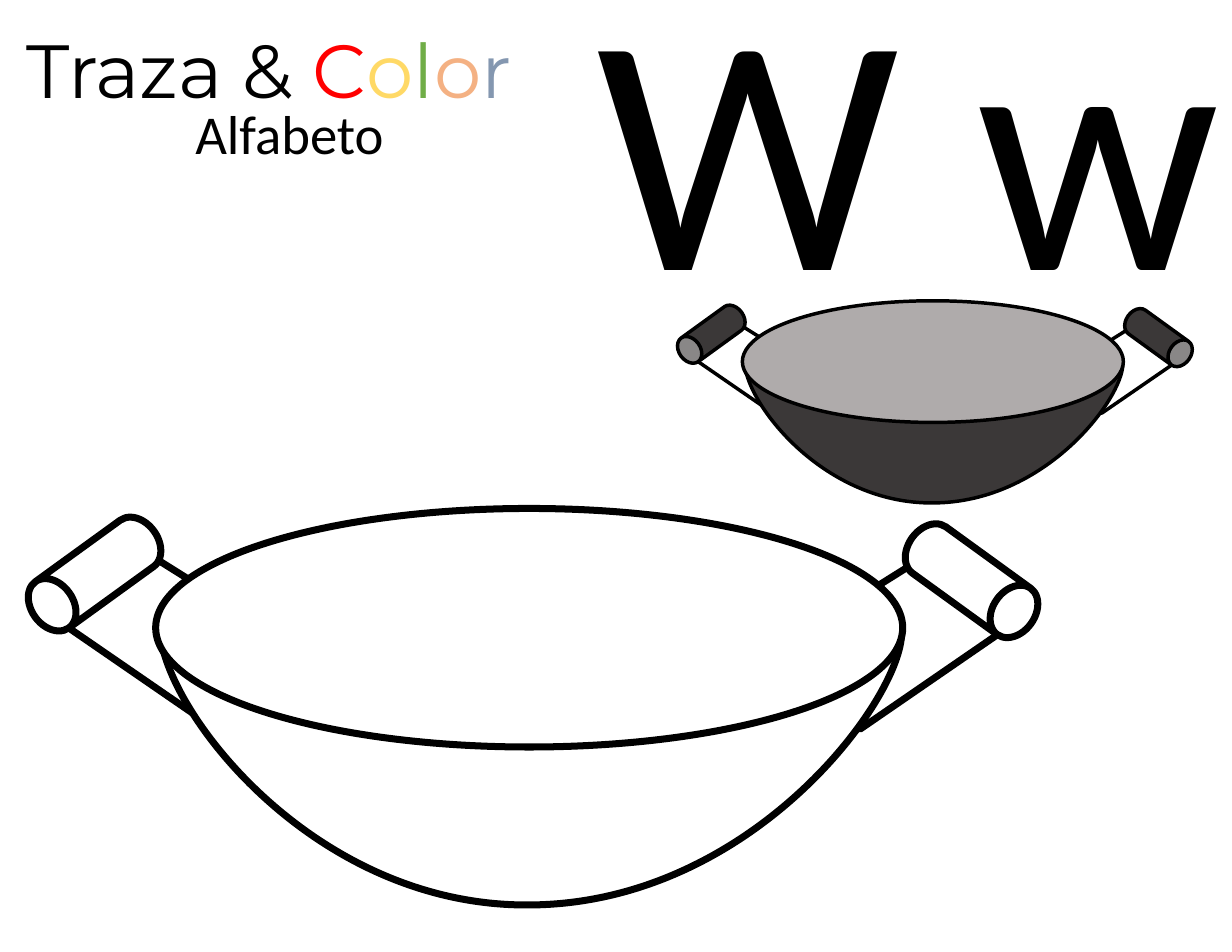
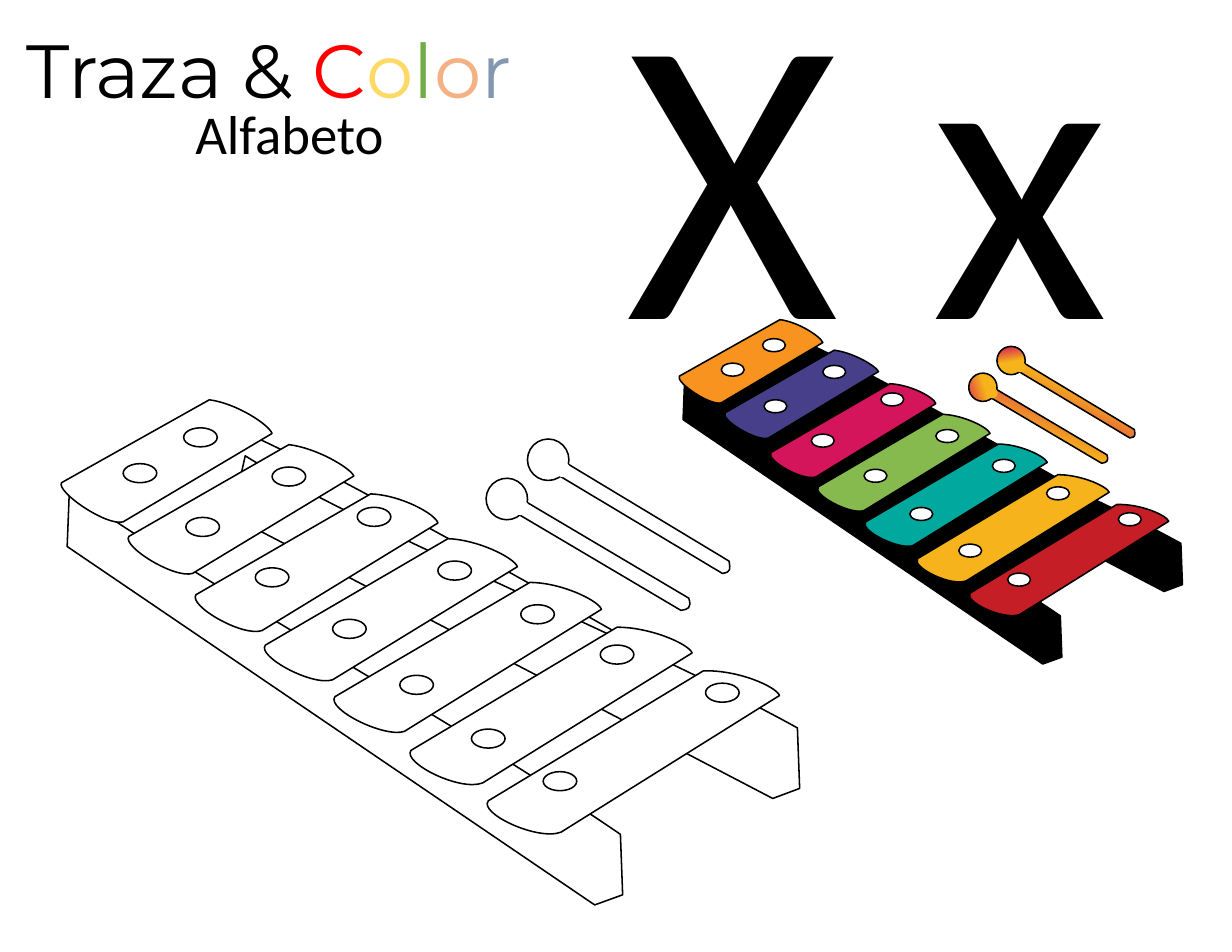
import math

from lxml import etree
from pptx import Presentation
from pptx import util as u
from pptx.dml.color import RGBColor
from pptx.enum import shapes, text
from pptx.oxml import ns

# Colours
BLACK = RGBColor(0x00, 0x00, 0x00)
WHITE = RGBColor(0xFF, 0xFF, 0xFF)
IRON = RGBColor(0x3B, 0x38, 0x38)
STEEL = RGBColor(0xAF, 0xAB, 0xAB)
RED = RGBColor(0xFF, 0x00, 0x00)
SUN = RGBColor(0xFF, 0xD9, 0x66)
LEAF = RGBColor(0x70, 0xAD, 0x47)
PEACH = RGBColor(0xF4, 0xB1, 0x83)
SLATE = RGBColor(0x84, 0x97, 0xB0)
ORANGE = RGBColor(0xF8, 0x93, 0x1F)
VIOLET = RGBColor(0x47, 0x3F, 0x8A)
PINK = RGBColor(0xD4, 0x15, 0x5B)
LIME = RGBColor(0x86, 0xBA, 0x4E)
TEAL = RGBColor(0x01, 0xA8, 0x9E)
GOLD = RGBColor(0xF6, 0xB3, 0x1C)
CRIMSON = RGBColor(0xC5, 0x1E, 0x26)

# Shared style; the grid has 11 columns and 8.5 rows
COLS, ROWS = 11, 8.5
HEAD = [("Traza & ", BLACK), ("C", RED), ("o", SUN), ("l", LEAF),
        ("o", PEACH), ("r", SLATE)]
STICK = [(0.37, GOLD), (1, PINK)]
KNOB = [(0, PINK), (0.54, GOLD)]
TILT = 80
STEPS = 24


class Sheet:
    """Style and current slide, with one method for each kind of element."""

    def __init__(self):
        self.prs = Presentation()
        self.prs.slide_width = u.Inches(COLS)
        self.prs.slide_height = u.Inches(ROWS)
        self.cell = self.prs.slide_width / COLS

    def grid(self, *vals):
        return [round(v * self.cell) for v in vals]

    def page(self, pair, size, box):
        """Start a slide with its title, subtitle and letter pair."""
        self.slide = self.prs.slides.add_slide(self.prs.slide_layouts[5])
        title = self.slide.shapes.title
        title.left, title.top, title.width, title.height = self.grid(
            0.14, 0.16, 5.36, 0.92)
        self.words(title, HEAD, 48.4, "Montserrat")
        self.label(pair, size, box)
        self.label("Alfabeto", 35.2, (0.42, 0.84, 4.33, 0.69),
                   text.PP_ALIGN.CENTER)

    def label(self, words, size, box, align=text.PP_ALIGN.LEFT):
        shape = self.slide.shapes.add_textbox(*self.grid(*box))
        self.words(shape, [(words, BLACK)], size, "Calibri", align)

    def words(self, shape, runs, size, font, align=text.PP_ALIGN.LEFT):
        frame = shape.text_frame
        frame.word_wrap = True
        frame.auto_size = text.MSO_AUTO_SIZE.SHAPE_TO_FIT_TEXT
        frame.vertical_anchor = text.MSO_ANCHOR.TOP
        par = frame.paragraphs[0]
        par.alignment = align
        for words, color in runs:
            run = par.add_run()
            run.text = words
            run.font.size = u.Pt(size)
            run.font.name = font
            run.font.color.rgb = color

    def art(self, left=0, top=0, scale=1, line=1):
        """Open a group; later shapes are moved and scaled into it."""
        self.group = self.slide.shapes.add_group_shape().shapes
        self.view = left, top, scale
        self.line = line

    def spot(self, x, y):
        left, top, scale = self.view
        return self.grid(left + x * scale, top + y * scale)

    def paint(self, shape, fill, edge=True):
        shape.shadow.inherit = False
        if fill is None:
            shape.fill.background()
        elif isinstance(fill, list):
            shape.fill.gradient()
            shape.fill.gradient_angle = 360 - TILT
            for stop, (place, color) in zip(shape.fill.gradient_stops, fill):
                stop.position = place
                stop.color.rgb = color
        else:
            shape.fill.solid()
            shape.fill.fore_color.rgb = fill
        if edge:
            shape.line.color.rgb = BLACK
            shape.line.width = u.Pt(self.line)
        else:
            shape.line.fill.background()

    def shape(self, kind, box, fill, turn=0, flip=False, edge=True):
        x, y, wide, high = box
        size = self.grid(wide * self.view[2], high * self.view[2])
        shape = self.group.add_shape(kind, *self.spot(x, y), *size)
        shape.rotation = turn
        if flip:
            shape._element.spPr.xfrm.set("flipH", "1")
        self.paint(shape, fill, edge)
        return shape

    def oval(self, box, fill, turn=0, edge=True):
        self.shape(shapes.MSO_SHAPE.OVAL, box, fill, turn, turn > 0, edge)

    def can(self, box, fill, turn, flip=False):
        shape = self.shape(shapes.MSO_SHAPE.CAN, box, fill, turn, flip)
        shape.adjustments[0] = 0.734

    def outline(self, parts, fill, turn=0):
        """Closed outline; a part is a point or a curve of three points."""
        parts = level(parts, turn)
        dots = [self.spot(*dot) for dot in trace(parts)]
        pen = self.group.build_freeform(*dots[0])
        pen.add_line_segments(dots[1:], close=True)
        shape = pen.convert_to_shape()
        shape.rotation = turn
        self.bend(shape, parts)
        self.paint(shape, fill)

    def bend(self, shape, parts):
        """Redraw the outline with true curves."""
        route = next(shape._element.iter(ns.qn("a:path")))
        for node in list(route):
            route.remove(node)
        for i, part in enumerate(parts):
            kind = "cubicBezTo" if len(part) == 3 else "lnTo"
            node = etree.SubElement(
                route, ns.qn("a:" + (kind if i else "moveTo")))
            for knot in part:
                x, y = self.spot(*knot)
                etree.SubElement(node, ns.qn("a:pt"), x=str(x - shape.left),
                                 y=str(y - shape.top))
        etree.SubElement(route, ns.qn("a:close"))


def trace(parts):
    """Points along an outline."""
    dots = []
    for part in parts:
        if len(part) == 1:
            dots.append(part[0])
            continue
        knots = [dots[-1], *part]
        for step in range(1, STEPS + 1):
            t = step / STEPS
            mix = [math.comb(3, n) * t ** n * (1 - t) ** (3 - n)
                   for n in range(4)]
            dots.append(tuple(sum(m * k[axis] for m, k in zip(mix, knots))
                              for axis in (0, 1)))
    return dots


def spin(dot, turn):
    a = math.radians(turn)
    x, y = dot
    return (x * math.cos(a) - y * math.sin(a),
            x * math.sin(a) + y * math.cos(a))


def level(parts, turn):
    """Outline as it lies before the turn about its own centre."""
    parts = [list(zip(part[::2], part[1::2])) for part in parts]
    if not turn:
        return parts
    flat = [[spin(knot, -turn) for knot in part] for part in parts]
    mid = [(min(side) + max(side)) / 2 for side in zip(*trace(flat))]
    goal = spin(mid, turn)
    return [[(x + goal[0] - mid[0], y + goal[1] - mid[1]) for x, y in part]
            for part in flat]


# Wok: the right handle mirrors the left one, slightly lower
WIRE = [(1.25, 4.9), (1.92, 5.32), (1.84, 6.45), (0.43, 5.48)]
GRIP = (0.59, 4.47, 0.51, 1.31)
SPAN, DROP, LEAN = 9.52, 0.06, 234.1
BOWL = [(1.43, 5.56),
        (1.5, 4.89, 3.73, 4.79, 4.83, 4.8),
        (5.93, 4.82, 8.05, 5.06, 8.05, 5.65),
        (8.05, 6.24, 6.71, 8.07, 4.73, 8.08),
        (2.74, 8.1, 1.37, 6.22, 1.43, 5.56)]


def wok(sheet, wire, body, rim):
    x, y, wide, high = GRIP
    sheet.outline([(SPAN - a, b + DROP) for a, b in WIRE], wire)
    sheet.can((SPAN - x - wide, y + DROP, wide, high), body, 360 - LEAN, True)
    sheet.outline(WIRE, wire)
    sheet.can(GRIP, body, LEAN)
    sheet.outline(BOWL, body)
    sheet.oval((1.39, 4.54, 6.67, 2.13), rim)


# Xylophone: each bar is start, near curve, far corner, far curve
SLOPE = 325.3
FRAME = ((4.79, 7.2), (4.65, 7.24, 0.81, 4.69, 0.87, 4.61),
         (2.18, 3.87), (2.42, 3.9, 6.39, 6.12, 6.42, 6.2))
RAILS = [
    ((0.62, 4.38), (2.17, 5.44, 3.99, 6.39, 5.54, 7.45),
     (5.56, 7.99), (5.31, 8.08), (0.6, 4.88)),
    ((2.19, 4.07), (3.22, 4.72, 5.73, 5.73, 7.12, 6.5),
     (7.14, 7.04), (6.9, 7.13), (2.07, 4.61)),
]
BARS = [
    ((1.1, 4.66), (0.95, 4.7, 0.5, 4.39, 0.55, 4.31),
     (1.87, 3.57), (2.11, 3.6, 2.4, 3.79, 2.43, 3.87)),
    ((1.72, 5.12), (1.56, 5.17, 1.09, 4.88, 1.15, 4.79),
     (2.58, 3.97), (2.83, 4, 3.13, 4.18, 3.16, 4.25)),
    ((2.34, 5.63), (2.17, 5.69, 1.68, 5.41, 1.75, 5.31),
     (3.31, 4.41), (3.58, 4.42, 3.89, 4.59, 3.91, 4.67)),
    ((2.97, 6.07), (2.79, 6.13, 2.29, 5.86, 2.37, 5.76),
     (4, 4.81), (4.27, 4.82, 4.59, 4.98, 4.62, 5.06)),
    ((3.61, 6.53), (3.43, 6.59, 2.91, 6.33, 2.99, 6.22),
     (4.73, 5.2), (5.01, 5.2, 5.34, 5.36, 5.37, 5.44)),
    ((4.31, 6.99), (4.11, 7.07, 3.59, 6.81, 3.67, 6.7),
     (5.51, 5.6), (5.81, 5.6, 6.15, 5.75, 6.18, 5.83)),
    ((5.01, 7.43), (4.8, 7.51, 4.27, 7.26, 4.36, 7.15),
     (6.28, 5.99), (6.59, 5.98, 6.93, 6.13, 6.96, 6.21)),
]
HOLES = [(4.85, 6.89), (6.3, 6.1), (5.36, 5.76), (4.21, 6.51),
         (3.57, 6.03), (4.65, 5.4), (3.91, 5.01), (2.97, 5.53),
         (2.28, 5.07), (3.19, 4.53), (2.43, 4.17), (1.66, 4.62),
         (1.1, 4.14), (1.64, 3.82)]
# Mallets: stick outline, stick turn, knob corner, joint corner, knob turn
MALLETS = [
    (((5.05, 4.13), (6.51, 5.01), (6.52, 5.08, 6.53, 5.11, 6.45, 5.12),
      (4.98, 4.24)), 31.2, (4.71, 3.92), (4.95, 4.12), 0),
    (((4.61, 4.58), (6.08, 5.45), (6.14, 5.44, 6.18, 5.43, 6.15, 5.34),
      (4.68, 4.47)), 210.6, (4.34, 4.27), (4.58, 4.46), 241.8),
]
TONES = [ORANGE, VIOLET, PINK, LIME, TEAL, GOLD, CRIMSON]


def xylo(sheet, base, tones, stick, knob, joint):
    sheet.outline(FRAME, base, SLOPE)
    for rail in RAILS:
        sheet.outline(rail, base)
    for bar, tone in zip(BARS, tones):
        sheet.outline(bar, tone, SLOPE)
    for hole in HOLES:
        sheet.oval((*hole, 0.3, 0.17), WHITE)
    for rod, lean, ball, join, turn in MALLETS:
        sheet.outline(rod, stick, lean)
        sheet.oval((*ball, 0.37, 0.37), knob, turn)
        sheet.oval((*join, 0.14, 0.14), joint, turn, edge=False)


def main():
    sheet = Sheet()

    # W: coloured model, then the one to colour in
    sheet.page("W w", 219, (5.23, -0.68, 6.57, 3.79))
    sheet.art(5.92, 0.37, 0.51, line=2.25)
    wok(sheet, None, IRON, STEEL)
    sheet.art(line=4.5)
    wok(sheet, WHITE, WHITE, WHITE)

    # X: the one to colour in, then the coloured model
    sheet.page("X x", 262.9, (5.5, -0.85, 6.57, 4.53))
    sheet.art()
    xylo(sheet, WHITE, [WHITE] * len(BARS), WHITE, WHITE, WHITE)
    sheet.art(5.69, 0.42, 15 / 22)
    xylo(sheet, BLACK, TONES, STICK, KNOB, GOLD)

    sheet.prs.save("out.pptx")


if __name__ == "__main__":
    main()
